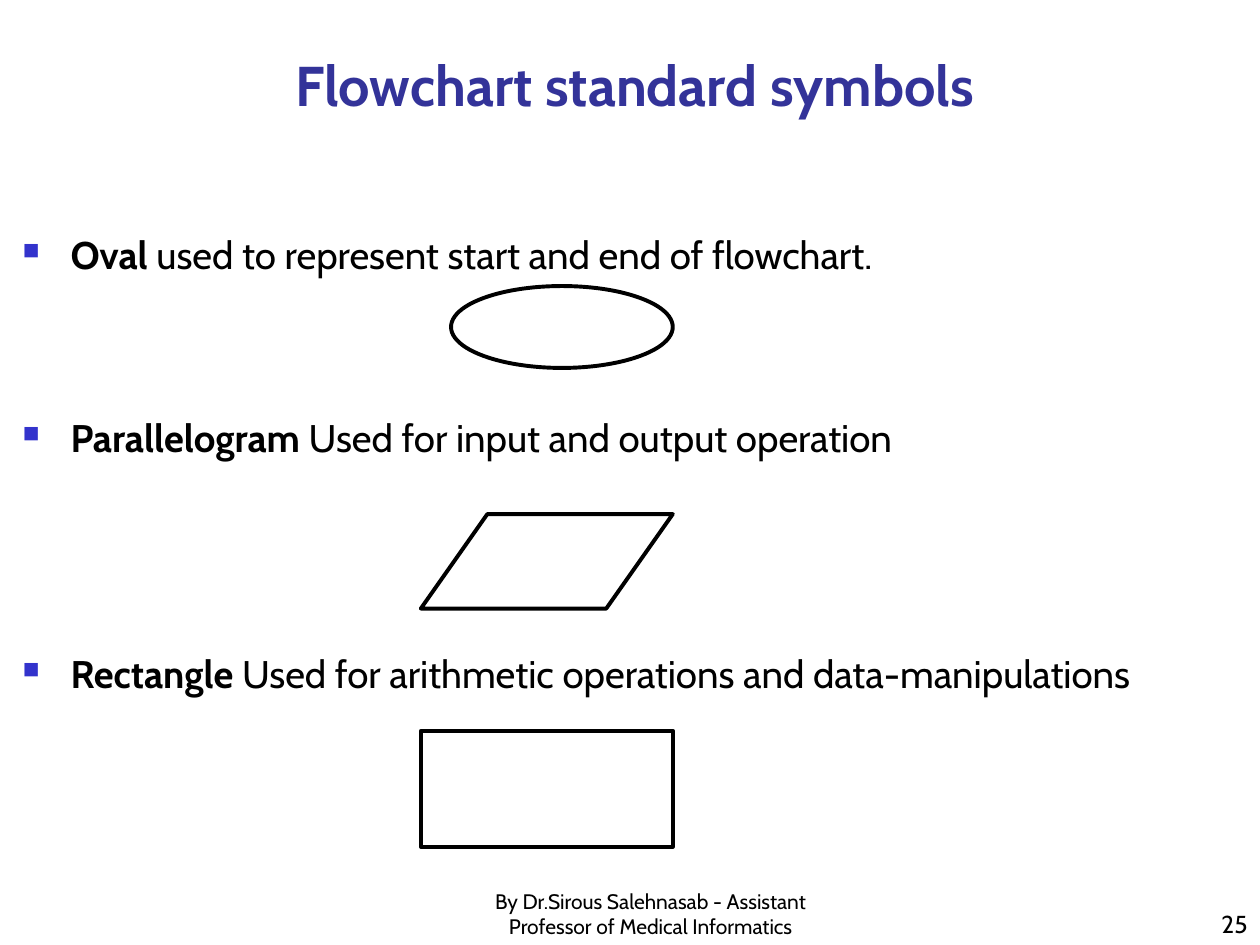
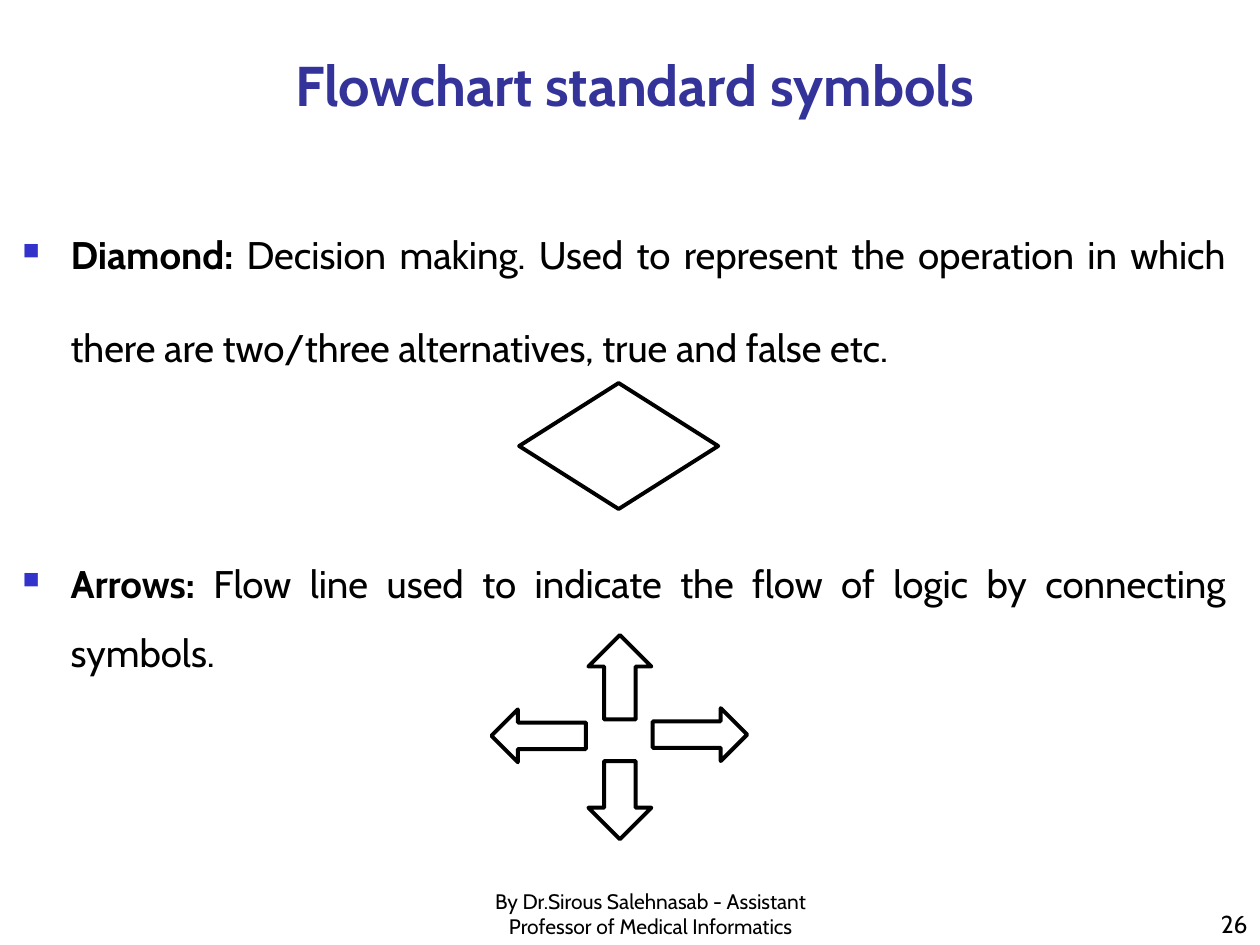
from lxml import etree
from pptx import Presentation
from pptx.dml.color import RGBColor
from pptx.enum.shapes import MSO_SHAPE
from pptx.enum.text import MSO_ANCHOR, MSO_AUTO_SIZE, PP_ALIGN
from pptx.oxml.ns import qn
from pptx.util import Inches, Pt

OVAL = MSO_SHAPE.OVAL
PARALLELOGRAM = MSO_SHAPE.PARALLELOGRAM
RECTANGLE = MSO_SHAPE.RECTANGLE
DIAMOND = MSO_SHAPE.DIAMOND
RIGHT_ARROW = MSO_SHAPE.RIGHT_ARROW
DOWN_ARROW = MSO_SHAPE.DOWN_ARROW
LEFT_ARROW = MSO_SHAPE.LEFT_ARROW
UP_ARROW = MSO_SHAPE.UP_ARROW
MIDDLE, BOTTOM, TOP = MSO_ANCHOR.MIDDLE, MSO_ANCHOR.BOTTOM, MSO_ANCHOR.TOP
CENTER, RIGHT, JUSTIFY = PP_ALIGN.CENTER, PP_ALIGN.RIGHT, PP_ALIGN.JUSTIFY
NO_AUTOFIT = MSO_AUTO_SIZE.NONE

FONT = "Cabin"
BLACK = "000000"
TITLE_COLOR = "333399"
BULLET_COLOR = "3333CC"
TITLE = "Flowchart standard symbols"
FOOTER = "By Dr.Sirous Salehnasab - Assistant Professor of Medical Informatics"

TITLE_BOX = (0.58, 0.08, 8.92, 1.17)
BODY_BOX = (0.08, 1.42, 9.75, 5.75)
FOOTER_BOX = (3.58, 7.08, 3.17, 0.42)
NUMBER_BOX = (7.92, 7, 2.08, 0.5)

FIRST = {"line_spacing": 2.0, "space_before": Pt(4.4)}
AFTER_OVAL = {"line_spacing": 2.0, "space_before": Pt(51.4)}
LAST = {"line_spacing": 1.5, "space_before": Pt(95.4)}

SLIDES = [
    {
        "number": "25",
        "items": [
            ("Oval", " used to represent start and end of flowchart.", FIRST),
            ("Parallelogram", " Used for input and output operation", AFTER_OVAL),
            ("Rectangle ", "Used for arithmetic operations and data-manipulations", LAST),
        ],
        "symbols": [
            (OVAL, (3.58, 2.27, 1.76, 0.65), []),
            (PARALLELOGRAM, (3.34, 4.08, 2, 0.75), [0.704]),
            (RECTANGLE, (3.34, 5.8, 2, 0.92), []),
        ],
    },
    {
        "number": "26",
        "items": [
            ("Diamond:", " Decision making. Used to represent the operation in which "
             "there are two/three alternatives, true and false etc.", FIRST),
            ("Arrows:", " Flow line used to indicate the flow of logic by "
             "connecting symbols.", LAST),
        ],
        "symbols": [
            (DIAMOND, (4.12, 3.04, 1.58, 1), []),
            (RIGHT_ARROW, (5.18, 5.62, 0.75, 0.42), []),
            (DOWN_ARROW, (4.67, 6.04, 0.5, 0.62), []),
            (LEFT_ARROW, (3.9, 5.63, 0.75, 0.42), []),
            (UP_ARROW, (4.67, 5.04, 0.5, 0.67), []),
        ],
    },
]


def color(value):
    return RGBColor.from_string(value)


def apply_format(target, values):
    for name, value in values.items():
        setattr(target, name, value)


def place(shape, box):
    names = ("left", "top", "width", "height")
    apply_format(shape, dict(zip(names, map(Inches, box))))


def set_frame(shape, anchor):
    apply_format(shape.text_frame, {
        "word_wrap": True, "auto_size": NO_AUTOFIT, "vertical_anchor": anchor,
        "margin_left": Inches(0.1), "margin_right": Inches(0.1),
        "margin_top": Inches(0.05), "margin_bottom": Inches(0.05),
    })


def add_run(paragraph, text, size, text_color=BLACK, bold=False):
    run = paragraph.add_run()
    run.text = text
    apply_format(run.font, {"name": FONT, "size": Pt(size), "bold": bold})
    run.font.color.rgb = color(text_color)


def add_bullet(paragraph):
    properties = paragraph._p.get_or_add_pPr()
    properties.set("marL", str(Inches(0.38)))
    properties.set("indent", str(-Inches(0.38)))
    bullet_color = etree.SubElement(properties, qn("a:buClr"))
    etree.SubElement(bullet_color, qn("a:srgbClr"), val=BULLET_COLOR)
    etree.SubElement(properties, qn("a:buSzPct"), val="60000")
    etree.SubElement(properties, qn("a:buFont"), typeface="Wingdings")
    etree.SubElement(properties, qn("a:buChar"), char="n")


def fill_title(slide):
    title = slide.shapes.title
    place(title, TITLE_BOX)
    set_frame(title, MIDDLE)
    paragraph = title.text_frame.paragraphs[0]
    paragraph.alignment = CENTER
    add_run(paragraph, TITLE, 32, TITLE_COLOR, True)


def fill_body(slide, items):
    body = slide.placeholders[1]
    place(body, BODY_BOX)
    set_frame(body, TOP)
    frame = body.text_frame
    for index, (term, description, spacing) in enumerate(items):
        paragraph = frame.add_paragraph() if index else frame.paragraphs[0]
        apply_format(paragraph, {"alignment": JUSTIFY, **spacing})
        add_bullet(paragraph)
        add_run(paragraph, term, 22, bold=True)
        add_run(paragraph, description, 22)


def add_label(slide, text, box, size, alignment):
    label = slide.shapes.add_textbox(*map(Inches, box))
    set_frame(label, BOTTOM)
    paragraph = label.text_frame.paragraphs[0]
    paragraph.alignment = alignment
    add_run(paragraph, text, size)


def add_symbol(slide, kind, box, adjustments):
    symbol = slide.shapes.add_shape(kind, *map(Inches, box))
    for index, value in enumerate(adjustments):
        symbol.adjustments[index] = value
    symbol.shadow.inherit = False
    symbol.fill.background()
    symbol.line.color.rgb = color(BLACK)
    symbol.line.width = Pt(2.25)


def build_slide(presentation, content):
    slide = presentation.slides.add_slide(presentation.slide_layouts[1])
    fill_title(slide)
    fill_body(slide, content["items"])
    add_label(slide, content["number"], NUMBER_BOX, 14, RIGHT)
    add_label(slide, FOOTER, FOOTER_BOX, 12, CENTER)
    for symbol in content["symbols"]:
        add_symbol(slide, *symbol)


def main():
    presentation = Presentation()
    presentation.slide_width = Inches(10)
    presentation.slide_height = Inches(7.5)
    for content in SLIDES:
        build_slide(presentation, content)
    presentation.save("out.pptx")


main()
